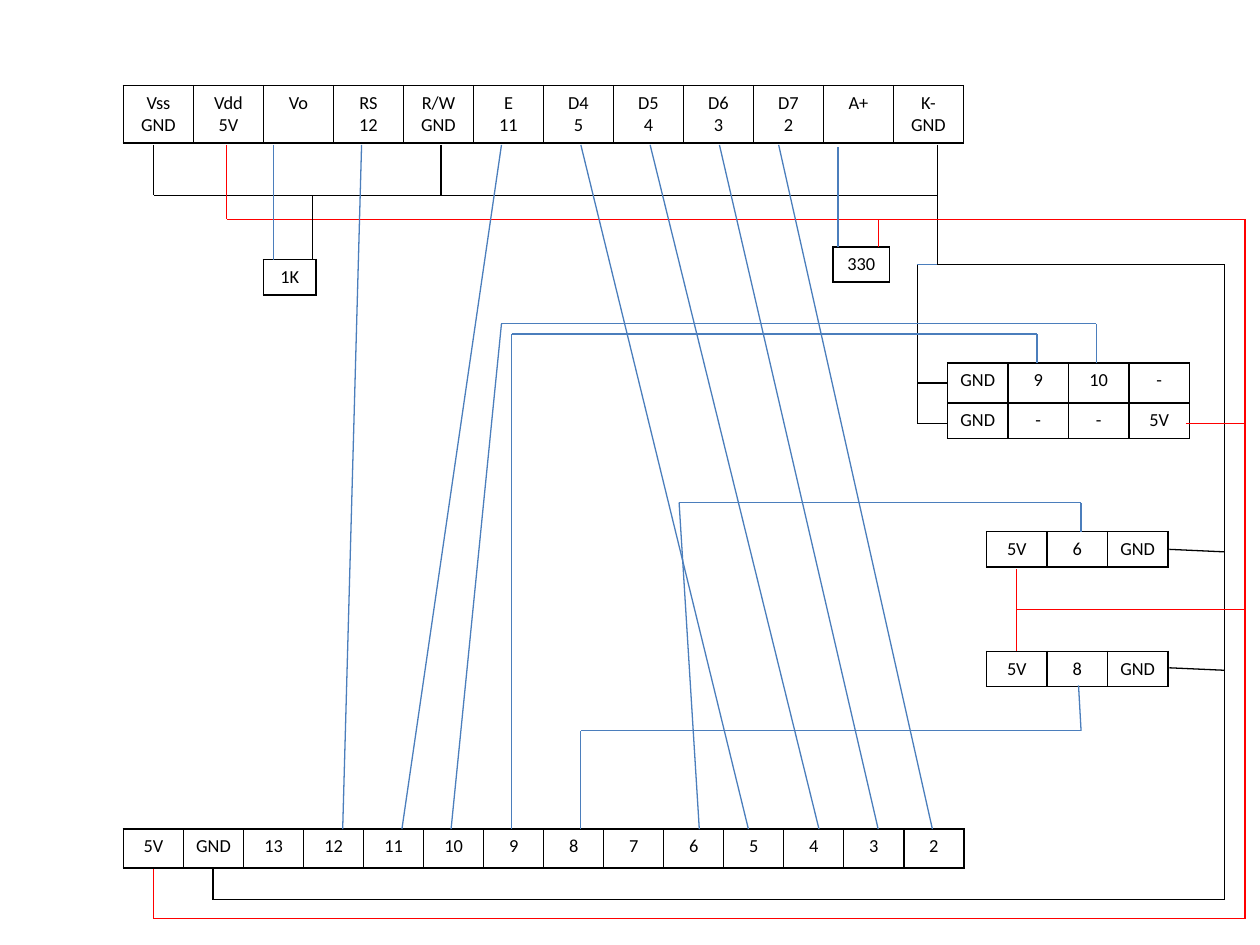
from lxml import etree
from pptx import Presentation
from pptx.dml.color import RGBColor
from pptx.enum import shapes, text
from pptx.oxml import ns
from pptx.util import Inches, Pt

BLACK = RGBColor(0, 0, 0)
WHITE = RGBColor(255, 255, 255)
RED = RGBColor(255, 0, 0)
BLUE = RGBColor(0x4B, 0x7E, 0xBC)

# Left, top, width, row heights, rows of cells
BOARD = (0.98, 6.58, 6.67, [0.31],
         [["5V", "GND", "13", "12", "11", "10", "9", "8", "7", "6", "5", "4", "3", "2"]])
SCREEN = (0.98, 0.68, 6.67, [0.45],
          [["Vss\nGND", "Vdd\n5V", "Vo", "RS\n12", "R/W\nGND", "E\n11",
            "D4\n5", "D5\n4", "D6\n3", "D7\n2", "A+", "K-\nGND"]])
RADIO = (7.52, 2.88, 1.92, [0.32, 0.28],
         [["GND", "9", "10", "-"], ["GND", "-", "-", "5V"]])
UPPER = (7.83, 4.22, 1.44, [0.28], [["5V", "6", "GND"]])
LOWER = (7.83, 5.17, 1.44, [0.28], [["5V", "8", "GND"]])
TRIMMER = (2.09, 2.06, 0.42, [0.28], [["1K"]])
RESISTOR = (6.61, 1.96, 0.45, [0.28], [["330"]])

# Each wire is a colour and the points it runs through
WIRES = [
    (BLACK, [(1.22, 1.15), (1.22, 1.55), (7.44, 1.55)]),
    (BLACK, [(3.5, 1.15), (3.5, 1.55)]),
    (BLACK, [(7.44, 1.15), (7.44, 2.1), (9.72, 2.1), (9.72, 7.14), (1.69, 7.14), (1.69, 6.9)]),
    (BLACK, [(9.28, 5.3), (9.72, 5.32)]),
    (BLACK, [(9.28, 4.36), (9.72, 4.38)]),
    (BLACK, [(7.28, 2.1), (7.28, 3.04), (7.28, 3.36), (7.52, 3.36)]),
    (BLACK, [(7.28, 3.04), (7.52, 3.04)]),
    (BLUE, [(7.28, 2.1), (7.44, 2.1)]),
    (RED, [(1.8, 1.15), (1.8, 1.74), (9.88, 1.74), (9.88, 7.29), (1.22, 7.29), (1.22, 6.9)]),
    (RED, [(9.41, 3.36), (9.88, 3.36)]),
    (RED, [(8.07, 4.52), (8.07, 5.17)]),
    (RED, [(8.07, 4.84), (9.88, 4.84)]),
    (BLUE, [(8.58, 4.22), (8.58, 3.99), (5.39, 3.99), (5.55, 6.58)]),
    (BLUE, [(8.56, 5.44), (8.58, 5.8), (4.61, 5.8), (4.61, 6.58)]),
    (BLUE, [(8.23, 2.88), (8.23, 2.65), (4.06, 2.65), (4.06, 6.58)]),
    (BLUE, [(8.7, 2.88), (8.7, 2.57), (3.98, 2.57), (3.58, 6.58)]),
    (BLUE, [(2.17, 1.15), (2.17, 2.06)]),
    (BLACK, [(2.48, 1.55), (2.48, 2.06)]),
    (BLUE, [(6.65, 1.17), (6.65, 1.96)]),
    (RED, [(6.97, 1.74), (6.97, 1.96)]),
]
# Screen pin x, board pin x
DATA = [(2.87, 2.72), (3.98, 3.19), (4.61, 5.94), (5.16, 6.5), (5.71, 6.97), (6.18, 7.4)]
WIRES += [(BLUE, [(top, 1.15), (end, 6.58)]) for top, end in DATA]


def add_edges(cell):
    """Draw a 1 pt black border on all four sides, ahead of the cell fill."""
    props = cell._tc.get_or_add_tcPr()
    for spot, side in enumerate(("lnL", "lnR", "lnT", "lnB")):
        edge = etree.Element(ns.qn("a:" + side), w=str(Pt(1)))
        fill = etree.SubElement(edge, ns.qn("a:solidFill"))
        etree.SubElement(fill, ns.qn("a:srgbClr"), val=str(BLACK))
        props.insert(spot, edge)


def fill_cell(cell, words):
    cell.fill.solid()
    cell.fill.fore_color.rgb = WHITE
    cell.margin_left = cell.margin_right = Inches(0.05)
    cell.text_frame.text = words
    for para in cell.text_frame.paragraphs:
        para.alignment = text.PP_ALIGN.CENTER
        for run in para.runs:
            run.font.name = "Calibri"
            run.font.size = Pt(10.5)
            run.font.bold = False
            run.font.color.rgb = BLACK
    add_edges(cell)


def add_pins(slide, left, top, width, highs, rows):
    count = len(rows[0])
    grid = slide.shapes.add_table(len(rows), count, Inches(left), Inches(top),
                                  Inches(width), Inches(sum(highs))).table
    grid.first_row = grid.horz_banding = False
    for col in grid.columns:
        col.width = Inches(width / count)
    for r, (high, row) in enumerate(zip(highs, rows)):
        grid.rows[r].height = Inches(high)
        for c, words in enumerate(row):
            fill_cell(grid.cell(r, c), words)


def add_wire(slide, color, points):
    for start, end in zip(points, points[1:]):
        ends = [Inches(n) for n in start + end]
        line = slide.shapes.add_connector(shapes.MSO_CONNECTOR.STRAIGHT, *ends)
        line.line.color.rgb = color
        line.line.width = Pt(0.75)
        etree.SubElement(line._element.spPr, ns.qn("a:effectLst"))


def main():
    deck = Presentation()
    deck.slide_width, deck.slide_height = Inches(10), Inches(7.5)
    slide = deck.slides.add_slide(deck.slide_layouts[6])
    for part in (BOARD, SCREEN, RADIO, UPPER, LOWER, TRIMMER, RESISTOR):
        add_pins(slide, *part)
    for color, points in WIRES:
        add_wire(slide, color, points)
    deck.save("out.pptx")


if __name__ == "__main__":
    main()
